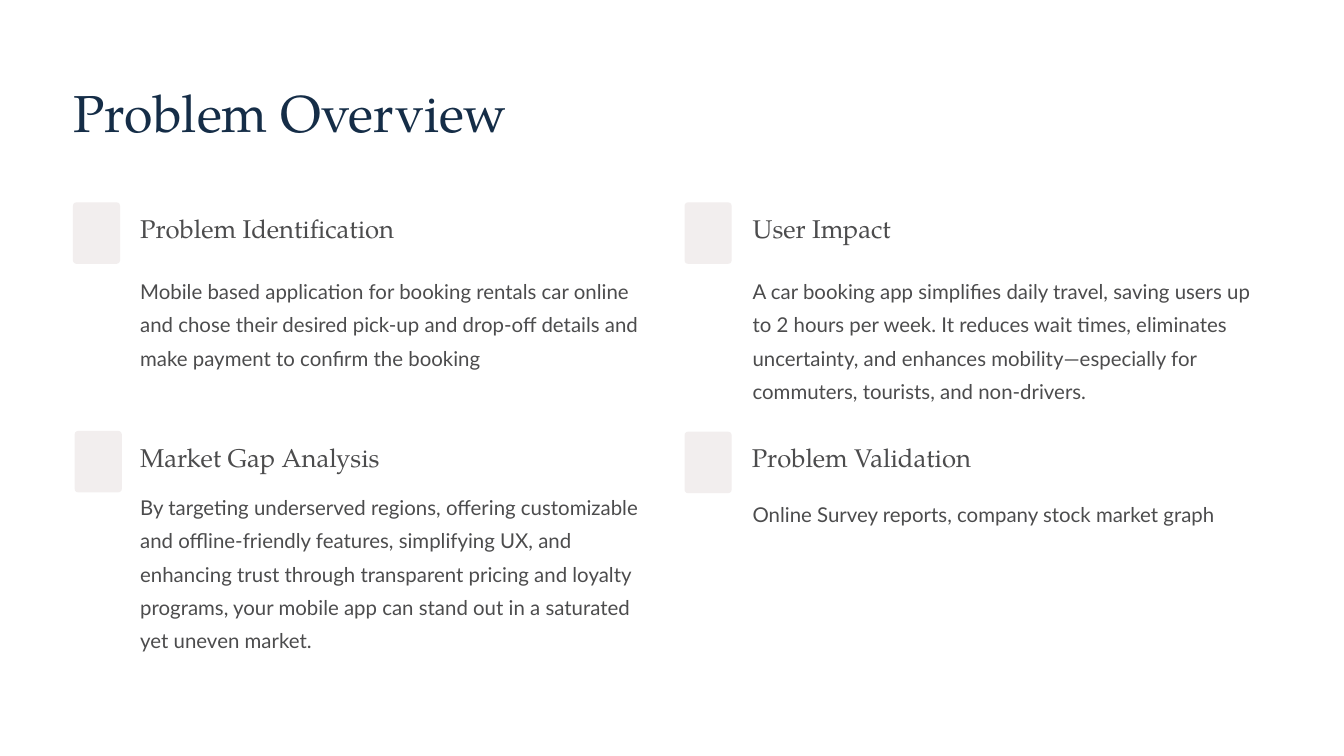
"""Build the Problem Overview slide with its four topic cards."""
from dataclasses import dataclass

from pptx import Presentation
from pptx.dml import color
from pptx.enum import shapes, text
from pptx.util import Pt

COLORS = {"title": "152D47", "text": "4C4C4D", "marker": "F2EEEE"}
SERIF = "TeX Gyre Pagella"
SANS = "Lato"


@dataclass(frozen=True)
class TextStyle:
    font: str
    size: float
    spacing: float
    color: str
    wrap: bool


@dataclass(frozen=True)
class Box:
    left: float
    top: float
    width: float
    height: float

    def lengths(self) -> list:
        return [Pt(value) for value in (self.left, self.top, self.width, self.height)]


@dataclass(frozen=True)
class Card:
    heading: str
    body: str
    marker_left: float
    marker_top: float
    heading_left: float
    heading_top: float
    body_left: float
    body_top: float


TITLE = TextStyle(SERIF, 44.5, 55.5, "title", False)
HEADING = TextStyle(SERIF, 22, 27.5, "text", False)
BODY = TextStyle(SANS, 17.5, 28.5, "text", True)

CARDS = [
    Card(
        "Problem Identification",
        "Mobile based application for booking rentals car online and chose their "
        "desired pick-up and drop-off details and make payment to confirm the booking",
        62.6, 173.5, 120.2, 181.4, 120.2, 231.8,
    ),
    Card(
        "User Impact",
        "A car booking app simplifies daily travel, saving users up to 2 hours per "
        "week. It reduces wait times, eliminates uncertainty, and enhances "
        "mobility—especially for commuters, tourists, and non-drivers.",
        586.8, 173.5, 645.1, 181.4, 645.1, 231.8,
    ),
    Card(
        "Market Gap Analysis",
        "By targeting underserved regions, offering customizable and offline-friendly "
        "features, simplifying UX, and enhancing trust through transparent pricing and "
        "loyalty programs, your mobile app can stand out in a saturated yet uneven market.",
        64.1, 369.4, 120.2, 378, 120.2, 416.9,
    ),
    Card(
        "Problem Validation",
        "Online Survey reports, company stock market graph",
        586.8, 370.1, 644.4, 377.3, 645.1, 422.6,
    ),
]


def write_text(shape, content: str, style: TextStyle) -> None:
    frame = shape.text_frame
    frame.margin_left = frame.margin_top = frame.margin_right = frame.margin_bottom = Pt(0)
    frame.auto_size = text.MSO_AUTO_SIZE.NONE
    frame.vertical_anchor = text.MSO_ANCHOR.TOP
    frame.word_wrap = style.wrap
    paragraph = frame.paragraphs[0]
    paragraph.alignment = text.PP_ALIGN.LEFT
    paragraph.line_spacing = Pt(style.spacing)
    run = paragraph.add_run()
    run.text = content
    run.font.name = style.font
    run.font.size = Pt(style.size)
    run.font.color.rgb = color.RGBColor.from_string(COLORS[style.color])


def add_title(slide, content: str, box: Box) -> None:
    title = slide.shapes.title
    title.left, title.top, title.width, title.height = box.lengths()
    write_text(title, content, TITLE)


def add_text(slide, content: str, box: Box, style: TextStyle) -> None:
    write_text(slide.shapes.add_textbox(*box.lengths()), content, style)


def add_marker(slide, box: Box) -> None:
    marker = slide.shapes.add_shape(shapes.MSO_SHAPE.ROUNDED_RECTANGLE, *box.lengths())
    marker.adjustments[0] = 0.07
    marker.shadow.inherit = False
    marker.fill.solid()
    marker.fill.fore_color.rgb = color.RGBColor.from_string(COLORS["marker"])
    marker.line.fill.background()


def add_card(slide, card: Card) -> None:
    add_marker(slide, Box(card.marker_left, card.marker_top, 40.3, 52.6))
    add_text(slide, card.heading, Box(card.heading_left, card.heading_top, 223.2, 36.7), HEADING)
    add_text(slide, card.body, Box(card.body_left, card.body_top, 444.2, 111.6), BODY)


def main() -> None:
    presentation = Presentation()
    presentation.slide_width, presentation.slide_height = Pt(1152), Pt(648)
    slide = presentation.slides.add_slide(presentation.slide_layouts.get_by_name("Title Only"))
    add_title(slide, "Problem Overview", Box(62.6, 67, 446.4, 56.2))
    for card in CARDS:
        add_card(slide, card)
    presentation.save("out.pptx")


if __name__ == "__main__":
    main()
